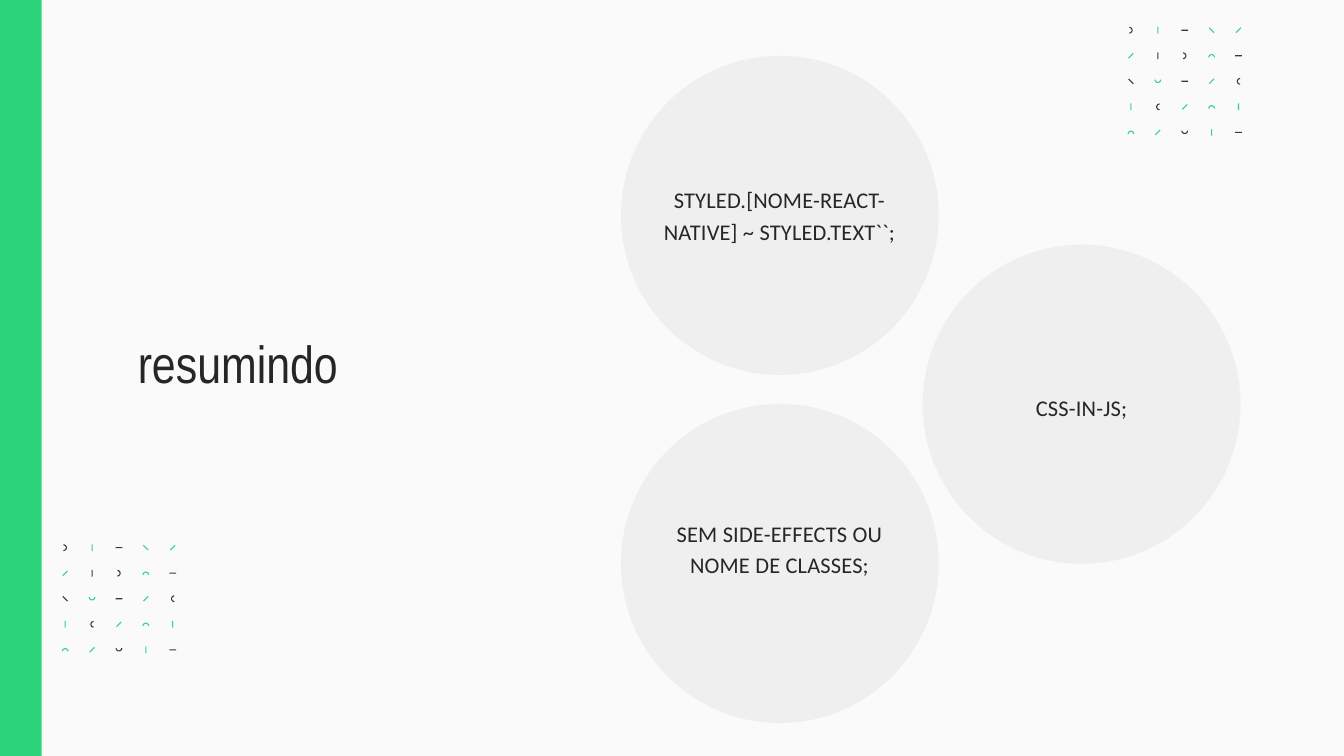
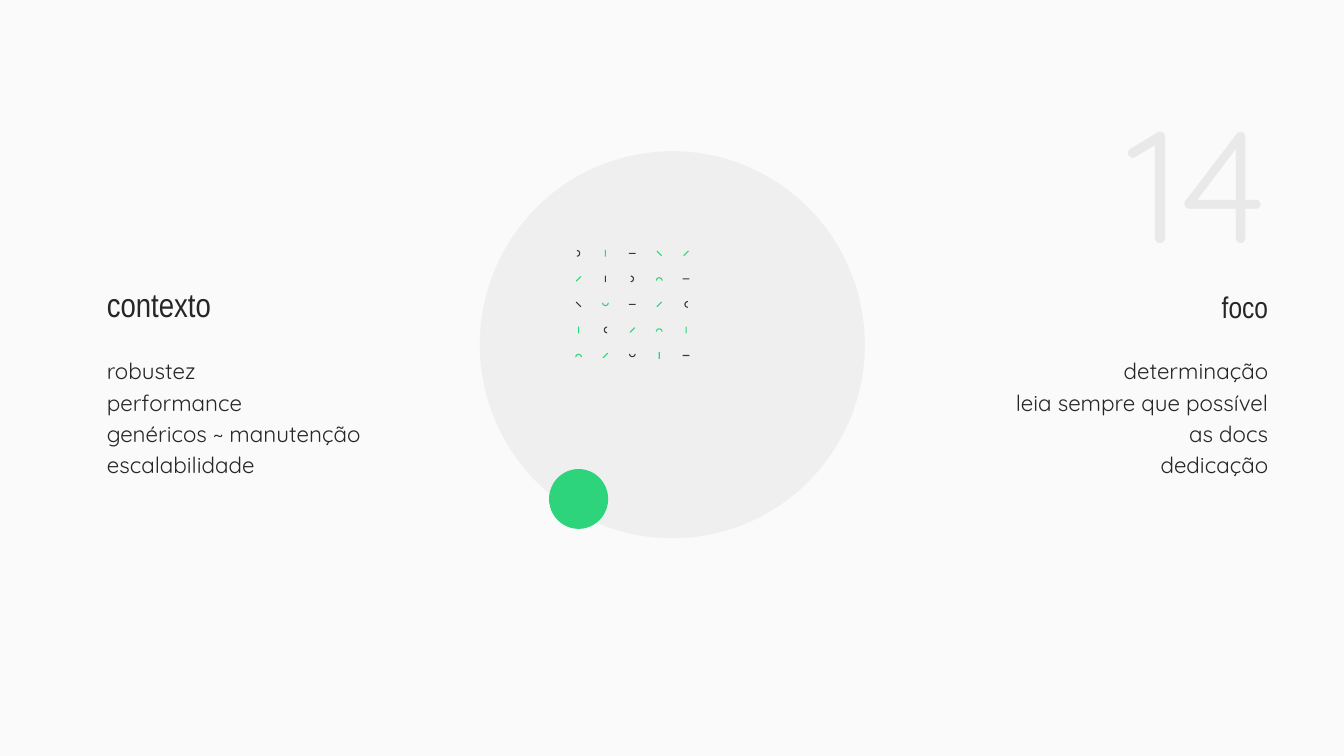
from math import cos, pi, sin
from typing import NamedTuple

from lxml.etree import SubElement
from pptx import Presentation
from pptx.dml.color import RGBColor
from pptx.enum.shapes import MSO_SHAPE
from pptx.enum.text import MSO_AUTO_SIZE, PP_ALIGN
from pptx.oxml.ns import qn
from pptx.util import Inches, Pt

PAPER = RGBColor(0xFA, 0xFA, 0xFA)
INK = RGBColor(0x24, 0x27, 0x25)
GRAPHITE = RGBColor(0x38, 0x38, 0x38)
GREEN = RGBColor(0x2E, 0xD4, 0x7B)
PALE = RGBColor(0xE9, 0xE9, 0xE9)

TITLE_FONT, LABEL_FONT, BODY_FONT = "Arial Narrow", "Calibri", "Quicksand"
LINE_FACTOR = 1.4

# The slide is a grid of square cells; every length below counts cells.
COLS, ROWS = 20, 11.25
WIDTH, HEIGHT = Inches(20), Inches(11.25)
CELL = WIDTH / COLS

# Confetti: one mark per place, "." leaves the place to the other colour.
CONFETTI = {
    GRAPHITE: (r").-..", r".|).-", r"\.-.(", r".(...", r"..u.-"),
    GREEN: (r".|.\/", r"/..^.", r".u./.", r"|./^|", r"^/.|."),
}
BAR_ANGLES = {"-": 0, "\\": pi / 4, "|": pi / 2, "/": -pi / 4}
ARC_ANGLES = {")": 0, "u": pi / 2, "(": pi, "^": -pi / 2}
CONFETTI_DX, CONFETTI_DY = 0.4, 0.38
MARK_RADIUS, MARK_STROKE = 0.05, 0.016
ARC_STEPS = 12


class Box(NamedTuple):
    left: float
    top: float
    width: float
    height: float

    def emu(self) -> list[int]:
        return [round(v * CELL) for v in self]


class Bubble(NamedTuple):
    circle: Box
    label: Box
    lines: tuple[str, ...]


class Topic(NamedTuple):
    left: float
    title_top: float
    title: str
    title_size: int
    lines: tuple[str, ...]
    align: PP_ALIGN


BUBBLE_W, BUBBLE_H = 4.73, 4.75
BUBBLES = (
    Bubble(Box(13.73, 3.64, BUBBLE_W, BUBBLE_H), Box(14.58, 5.8, 3.03, 0.45),
           ("CSS-IN-JS;",)),
    Bubble(Box(9.24, 0.83, BUBBLE_W, BUBBLE_H), Box(9.55, 2.71, 4.1, 0.91),
           ("STYLED.[NOME-REACT-NATIVE] ~ STYLED.TEXT``;",)),
    Bubble(Box(9.24, 6.01, BUBBLE_W, BUBBLE_H), Box(9.82, 7.67, 3.56, 1.37),
           ("SEM SIDE-EFFECTS OU", "NOME DE CLASSES;")),
)

TOPIC_W, TOPIC_BODY_TOP = 4.18, 5.25
TOPICS = (
    Topic(1.59, 4.13, "contexto", 36,
          ("robustez", "performance", "genéricos ~ manutenção", "escalabilidade"),
          PP_ALIGN.LEFT),
    Topic(14.69, 4.21, "foco", 32,
          ("determinação", "leia sempre que possível as docs", "dedicação"),
          PP_ALIGN.RIGHT),
)


def paint(s, color: RGBColor, opacity: int = 100) -> None:
    """Give a shape a flat fill, with no line and no shadow."""
    s.shadow.inherit = False
    s.line.fill.background()
    s.fill.solid()
    s.fill.fore_color.rgb = color
    if opacity < 100:
        srgb = s._element.spPr.find(qn("a:solidFill")).find(qn("a:srgbClr"))
        SubElement(srgb, qn("a:alpha")).set("val", str(opacity * 1000))


def add_flat(slide, kind: MSO_SHAPE, box: Box, color: RGBColor, opacity: int = 100) -> None:
    paint(slide.shapes.add_shape(kind, *box.emu()), color, opacity)


def add_text(slide, box: Box, *lines: str, font: str, size: int,
             color: RGBColor = INK, align: PP_ALIGN = PP_ALIGN.LEFT,
             tracking: float = 0, line_factor: float = LINE_FACTOR) -> None:
    tf = slide.shapes.add_textbox(*box.emu()).text_frame
    tf.word_wrap = True
    tf.auto_size = MSO_AUTO_SIZE.SHAPE_TO_FIT_TEXT
    tf.margin_left = tf.margin_top = tf.margin_right = tf.margin_bottom = 0
    for i, line in enumerate(lines):
        p = tf.add_paragraph() if i else tf.paragraphs[0]
        p.alignment = align
        p.line_spacing = Pt(size * line_factor)
        r = p.add_run()
        r.text = line
        r.font.name, r.font.size = font, Pt(size)
        r.font.color.rgb = color
        if tracking:
            r._r.get_or_add_rPr().set("spc", str(round(tracking * 100)))


def mark_outline(mark: str, x: float, y: float) -> list[tuple[float, float]]:
    """Outline of one bar or half ring centred on x, y."""
    if mark in BAR_ANGLES:
        c, s = cos(BAR_ANGLES[mark]), sin(BAR_ANGLES[mark])
        a, b = MARK_RADIUS, MARK_STROKE / 2
        corners = ((-a, -b), (a, -b), (a, b), (-a, b))
        return [(x + u * c - v * s, y + u * s + v * c) for u, v in corners]
    facing = ARC_ANGLES[mark]
    x -= cos(facing) * MARK_RADIUS / 2
    y -= sin(facing) * MARK_RADIUS / 2
    turns = [facing + pi * (i / ARC_STEPS - 0.5) for i in range(ARC_STEPS + 1)]
    inner = MARK_RADIUS - MARK_STROKE
    return ([(x + MARK_RADIUS * cos(t), y + MARK_RADIUS * sin(t)) for t in turns]
            + [(x + inner * cos(t), y + inner * sin(t)) for t in reversed(turns)])


def add_confetti(slide, left: float, top: float) -> None:
    """Draw the field of marks; left and top are the centre of the first mark."""
    for color, rows in CONFETTI.items():
        outlines = [
            [(round(u * CELL), round(v * CELL)) for u, v in
             mark_outline(mark, left + col * CONFETTI_DX, top + row * CONFETTI_DY)]
            for row, marks in enumerate(rows)
            for col, mark in enumerate(marks) if mark != "."
        ]
        builder = slide.shapes.build_freeform(*outlines[0][0])
        for i, (start, *rest) in enumerate(outlines):
            if i:
                builder.move_to(*start)
            builder.add_line_segments(rest, close=True)
        paint(builder.convert_to_shape(), color)


def build_summary(slide) -> None:
    for bubble in BUBBLES:
        add_flat(slide, MSO_SHAPE.OVAL, bubble.circle, INK, opacity=5)
    add_text(slide, Box(2.05, 4.93, 6.31, 0.93), "resumindo",
             font=TITLE_FONT, size=56, line_factor=1.2)
    for bubble in BUBBLES:
        add_text(slide, bubble.label, *bubble.lines, font=LABEL_FONT, size=24,
                 align=PP_ALIGN.CENTER, tracking=0.2)
    add_flat(slide, MSO_SHAPE.RECTANGLE, Box(0, 0, 0.62, ROWS), GREEN)
    add_confetti(slide, 16.83, 0.45)
    add_confetti(slide, 0.97, 8.15)


def build_closing(slide) -> None:
    add_text(slide, Box(14.69, 1.14, 4.18, 2.95), "14", font=BODY_FONT, size=170,
             color=PALE, align=PP_ALIGN.RIGHT, line_factor=1.25)
    add_flat(slide, MSO_SHAPE.OVAL, Box(7.14, 2.25, 5.73, 5.76), INK, opacity=5)
    add_flat(slide, MSO_SHAPE.OVAL, Box(8.17, 6.98, 0.88, 0.89), GREEN)
    add_confetti(slide, 8.61, 3.77)
    for topic in TOPICS:
        add_text(slide, Box(topic.left, topic.title_top, TOPIC_W, 0.65), topic.title,
                 font=TITLE_FONT, size=topic.title_size, align=topic.align)
        add_text(slide, Box(topic.left, TOPIC_BODY_TOP, TOPIC_W, 1.81), *topic.lines,
                 font=BODY_FONT, size=24, align=topic.align)


def main() -> None:
    prs = Presentation()
    prs.slide_width, prs.slide_height = WIDTH, HEIGHT
    background = prs.slide_master.background.fill
    background.solid()
    background.fore_color.rgb = PAPER
    blank = prs.slide_layouts[6]
    for build in (build_summary, build_closing):
        build(prs.slides.add_slide(blank))
    prs.save("out.pptx")


if __name__ == "__main__":
    main()
